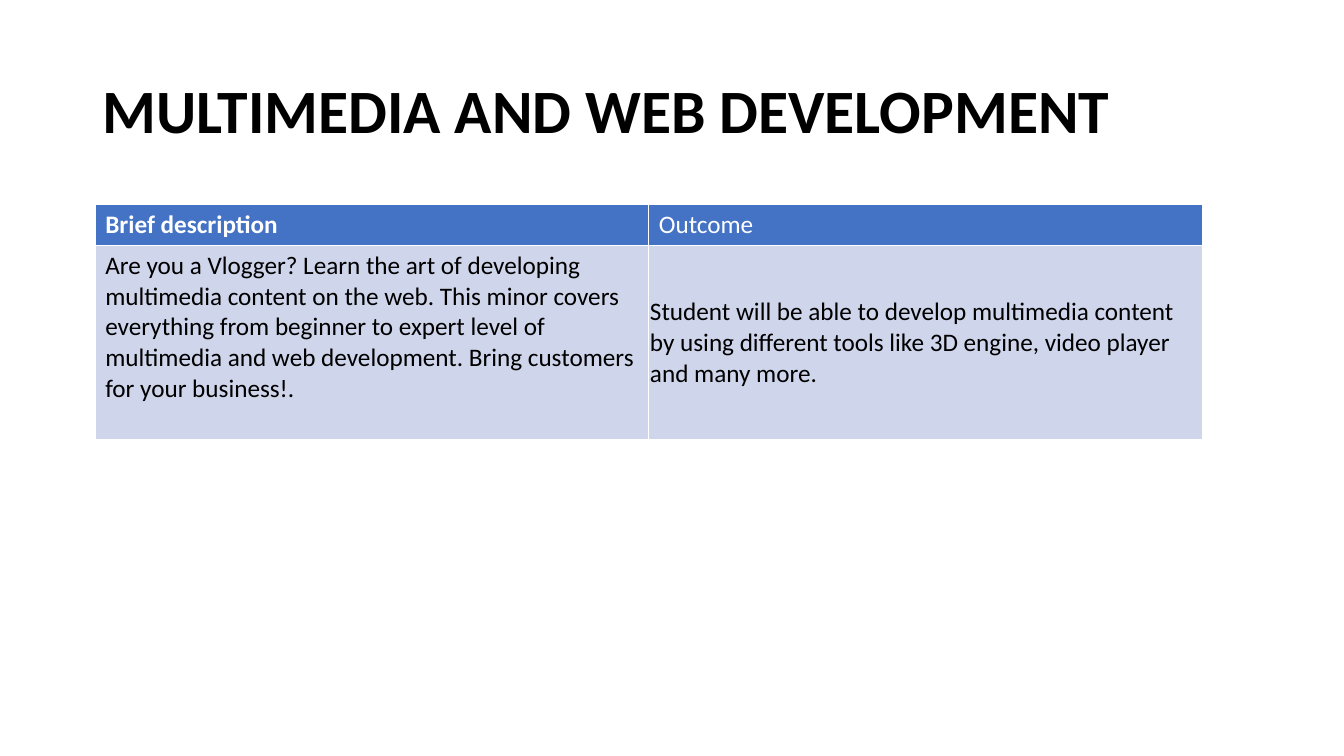
import pptx
import pptx.util
import pptx.dml.color
import pptx.enum.text
import pptx.oxml
import pptx.oxml.ns

Cm = pptx.util.Cm
Pt = pptx.util.Pt
ANCHOR = pptx.enum.text.MSO_ANCHOR

COLORS = {
    "text": "000000",
    "header_text": "FFFFFF",
    "header_fill": "4472C4",
    "body_fill": "CFD5EA",
    "border": "FFFFFF",
}
FONT = "Calibri"
ROW_HEIGHTS = (1.02, 4.9)
HEADINGS = (("Brief description", True), ("Outcome", False))
DESCRIPTION = (
    "Are you a Vlogger? Learn the art of developing multimedia content on the web. "
    "This minor covers everything from beginner to expert level of multimedia and "
    "web development. Bring customers for your business!."
)
OUTCOME = (
    "Student will be able to develop multimedia content by using different tools "
    "like 3D engine, video player and many more."
)


def set_attributes(target, values):
    """Set every attribute named in a dict."""
    for name, value in values.items():
        setattr(target, name, value)


def write_text(text_frame, text, color, size, bold=False):
    """Write one styled paragraph and return it."""
    paragraph = text_frame.paragraphs[0]
    run = paragraph.add_run()
    run.text = text
    set_attributes(run.font, {"name": FONT, "size": Pt(size), "bold": bold})
    run.font.color.rgb = pptx.dml.color.RGBColor.from_string(COLORS[color])
    return paragraph


def add_borders(cell, width=1):
    """Draw a solid line on all four sides of a cell."""
    properties = cell._tc.get_or_add_tcPr()
    for index, side in enumerate(("lnL", "lnR", "lnT", "lnB")):
        line = pptx.oxml.parse_xml(
            f'<a:{side} {pptx.oxml.ns.nsdecls("a")} w="{Pt(width)}"><a:solidFill>'
            f'<a:srgbClr val="{COLORS["border"]}"/></a:solidFill></a:{side}>'
        )
        properties.insert(index, line)


def fill_cell(cell, text, color, fill, bold=False):
    """Fill a cell, write its text and draw its borders."""
    cell.fill.solid()
    cell.fill.fore_color.rgb = pptx.dml.color.RGBColor.from_string(COLORS[fill])
    write_text(cell.text_frame, text, color, 18, bold)
    add_borders(cell)


def add_title(slide, left, top, width, height):
    """Place the slide title in the given box."""
    text_frame = slide.shapes.add_textbox(
        Cm(left), Cm(top), Cm(width), Cm(height)
    ).text_frame
    set_attributes(text_frame, {"word_wrap": True, "vertical_anchor": ANCHOR.MIDDLE})
    paragraph = write_text(
        text_frame, "MULTIMEDIA AND WEB DEVELOPMENT", "text", 44, True
    )
    paragraph.line_spacing = 0.9


def add_course_table(slide, left, top, width):
    """Place the table of description and outcome in the given box."""
    table = slide.shapes.add_table(
        len(ROW_HEIGHTS), len(HEADINGS),
        Cm(left), Cm(top), Cm(width), Cm(sum(ROW_HEIGHTS)),
    ).table
    for row, height in zip(table.rows, ROW_HEIGHTS):
        row.height = Cm(height)
    for column, (heading, bold) in enumerate(HEADINGS):
        fill_cell(table.cell(0, column), heading, "header_text", "header_fill", bold)
    for column, text in enumerate((DESCRIPTION, OUTCOME)):
        fill_cell(table.cell(1, column), text, "text", "body_fill")
    set_attributes(table.cell(1, 1), {
        "vertical_anchor": ANCHOR.MIDDLE,
        "margin_left": Cm(0.03),
        "margin_right": Cm(0.03),
        "margin_top": Cm(0.03),
        "margin_bottom": Cm(0),
    })


def main():
    """Build the slide and save it."""
    presentation = pptx.Presentation()
    set_attributes(presentation, {"slide_width": Cm(33.87), "slide_height": Cm(19.05)})
    slide = presentation.slides.add_slide(presentation.slide_layouts[6])
    add_title(slide, 2.33, 1.01, 29.21, 3.68)
    add_course_table(slide, 2.4, 5.16, 27.9)
    presentation.save("out.pptx")


main()
